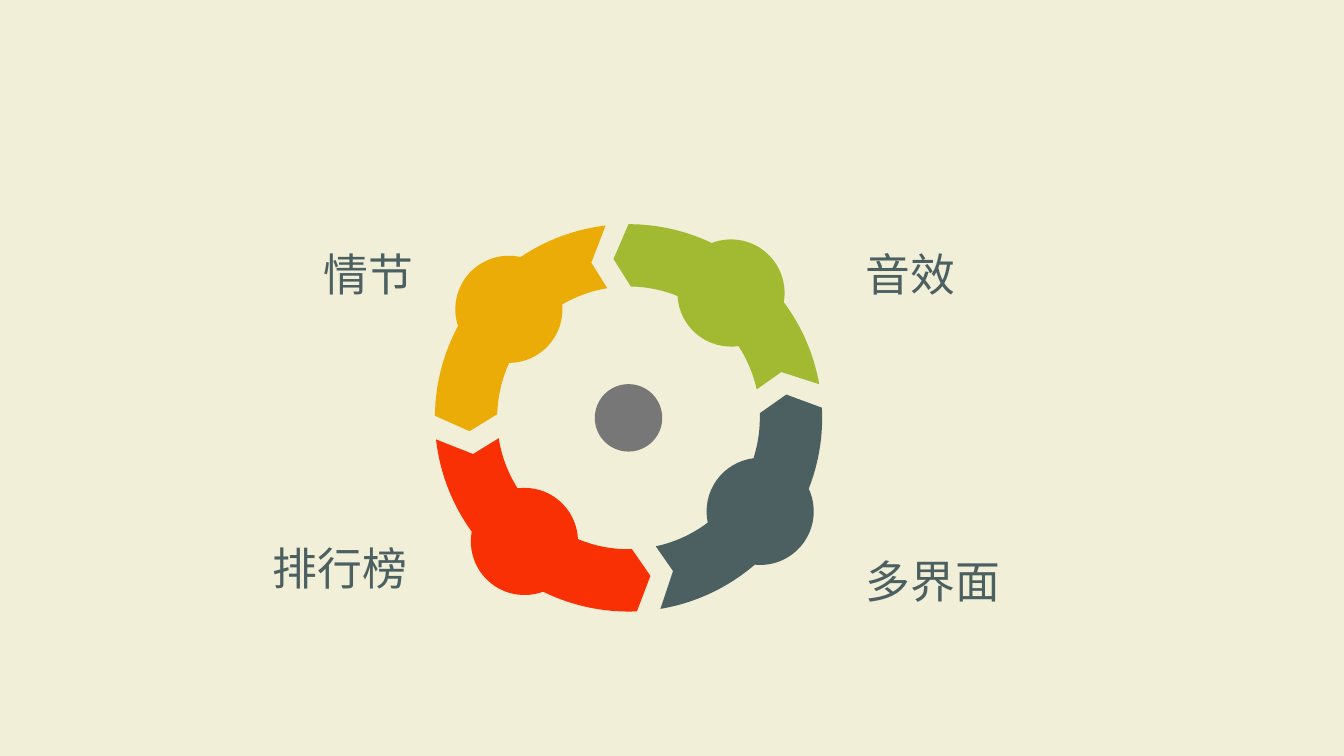
"""Build a slide with a ring of four arrows, each carrying a knob and a label."""
from math import acos, atan2, cos, degrees, radians, sin, tan

from lxml.etree import SubElement
from pptx import Presentation
from pptx.dml.color import RGBColor
from pptx.enum.shapes import MSO_SHAPE as Shape
from pptx.enum.text import MSO_AUTO_SIZE as AutoSize
from pptx.oxml.ns import qn
from pptx.util import Cm, Pt

FONT = "Noto Sans CJK SC"
CREAM, GREY, SLATE = "F1EFD7", "777777", "4C6062"

# colour, start angle, end angle, knob angle (degrees clockwise from the right)
ARROWS = [
    ("EBAC07", 180.6, 263.2, 222.2),
    ("A2B932", 270, 350, 309.4),
    (SLATE, 357, 440.5, 395.4),
    ("F83003", 87.5, 173.6, 130.1),
]
# text, left, top, width, wrap
LABELS = [
    ("情节", 7.9, 6.1, 2.9, True),
    ("音效", 21.56, 6.1, 2.79, False),
    ("排行榜", 6.63, 13.49, 3.94, False),
    ("多界面", 21.56, 13.82, 3.94, False),
]
LABEL_HEIGHT = 1.63
CENTER = 15.84, 10.53
OUTER, MIDDLE, INNER = 4.88, 4.02, 3.31
KNOB_ORBIT, KNOB_RADIUS, HUB_RADIUS = 4.07, 1.35, 0.85
START_TIP, START_INNER = -5.4, 1
END_TIP, END_INNER = -6.7, -2.5


def color(value):
    return RGBColor.from_string(value)


def paint(shape, value):
    shape.shadow.inherit = False
    shape.fill.solid()
    shape.fill.fore_color.rgb = color(value)
    shape.line.fill.background()


def polar(center, radius, angle):
    turn = radians(angle)
    return center[0] + radius * cos(turn), center[1] + radius * sin(turn)


def arc(center, radius, first, last, pieces=1):
    """Give two handles and an end point for each piece of an arc."""
    step = (last - first) / pieces
    pull = 4 / 3 * tan(radians(step) / 4)
    points = []
    for piece in range(pieces):
        begin = first + piece * step
        end = begin + step
        near, far = polar(center, radius, begin), polar(center, radius, end)
        points.append(polar(near, radius * pull, begin + 90))
        points.append(polar(far, -radius * pull, end + 90))
        points.append(far)
    return points


def edge(radius, first, last, knob_angle):
    """Follow a ring edge and go round the knob on the way."""
    half = acos((radius ** 2 + KNOB_ORBIT ** 2 - KNOB_RADIUS ** 2)
                / (2 * radius * KNOB_ORBIT))
    meet = degrees(atan2(radius * sin(half), radius * cos(half) - KNOB_ORBIT))
    half = degrees(half)
    if first < last:
        enter, leave, sweep = knob_angle - half, knob_angle + half, (-meet, meet)
    else:
        enter, leave, sweep = knob_angle + half, knob_angle - half, (meet, 360 - meet)
    knob = polar(CENTER, KNOB_ORBIT, knob_angle)
    return (arc(CENTER, radius, first, enter)
            + arc(knob, KNOB_RADIUS, knob_angle + sweep[0], knob_angle + sweep[1], 2)
            + arc(CENTER, radius, leave, last))


def add_arrow(page, value, start, end, knob_angle):
    inner_end, inner_start = end + END_INNER, start + START_INNER
    outline = edge(OUTER, start, end, knob_angle)
    outline += [polar(CENTER, MIDDLE, end + END_TIP)] * 3
    outline += [polar(CENTER, INNER, inner_end)] * 3
    outline += edge(INNER, inner_end, inner_start, knob_angle)
    outline += [polar(CENTER, MIDDLE, start + START_TIP)] * 3

    origin = polar(CENTER, OUTER, start)
    builder = page.shapes.build_freeform(Cm(origin[0]), Cm(origin[1]))
    builder.add_line_segments([(Cm(x), Cm(y)) for x, y in outline], close=True)
    shape = builder.convert_to_shape()
    paint(shape, value)

    lines = list(shape._element.iter(qn("a:lnTo")))
    for index in range(0, len(lines), 3):
        curve, *rest = lines[index:index + 3]
        curve.tag = qn("a:cubicBezTo")
        for line in rest:
            curve.append(line[0])
            line.getparent().remove(line)


def add_label(page, text, left, top, width, wrap):
    box = page.shapes.add_textbox(Cm(left), Cm(top), Cm(width), Cm(LABEL_HEIGHT))
    frame = box.text_frame
    frame.word_wrap = wrap
    frame.auto_size = AutoSize.SHAPE_TO_FIT_TEXT
    para = frame.paragraphs[0]
    para.text = text
    font = para.font
    font.size = Pt(32)
    font.color.rgb = color(SLATE)
    font.name = FONT
    SubElement(font._element, qn("a:ea"), typeface=FONT)


def main():
    deck = Presentation()
    deck.slide_width, deck.slide_height = Cm(33.87), Cm(19.05)
    page = deck.slides.add_slide(deck.slide_layouts[6])
    page.background.fill.solid()
    page.background.fill.fore_color.rgb = color(CREAM)

    hub = page.shapes.add_shape(
        Shape.OVAL, Cm(CENTER[0] - HUB_RADIUS), Cm(CENTER[1] - HUB_RADIUS),
        Cm(2 * HUB_RADIUS), Cm(2 * HUB_RADIUS))
    paint(hub, GREY)
    for arrow in ARROWS:
        add_arrow(page, *arrow)
    for label in LABELS:
        add_label(page, *label)
    deck.save("out.pptx")


if __name__ == "__main__":
    main()
